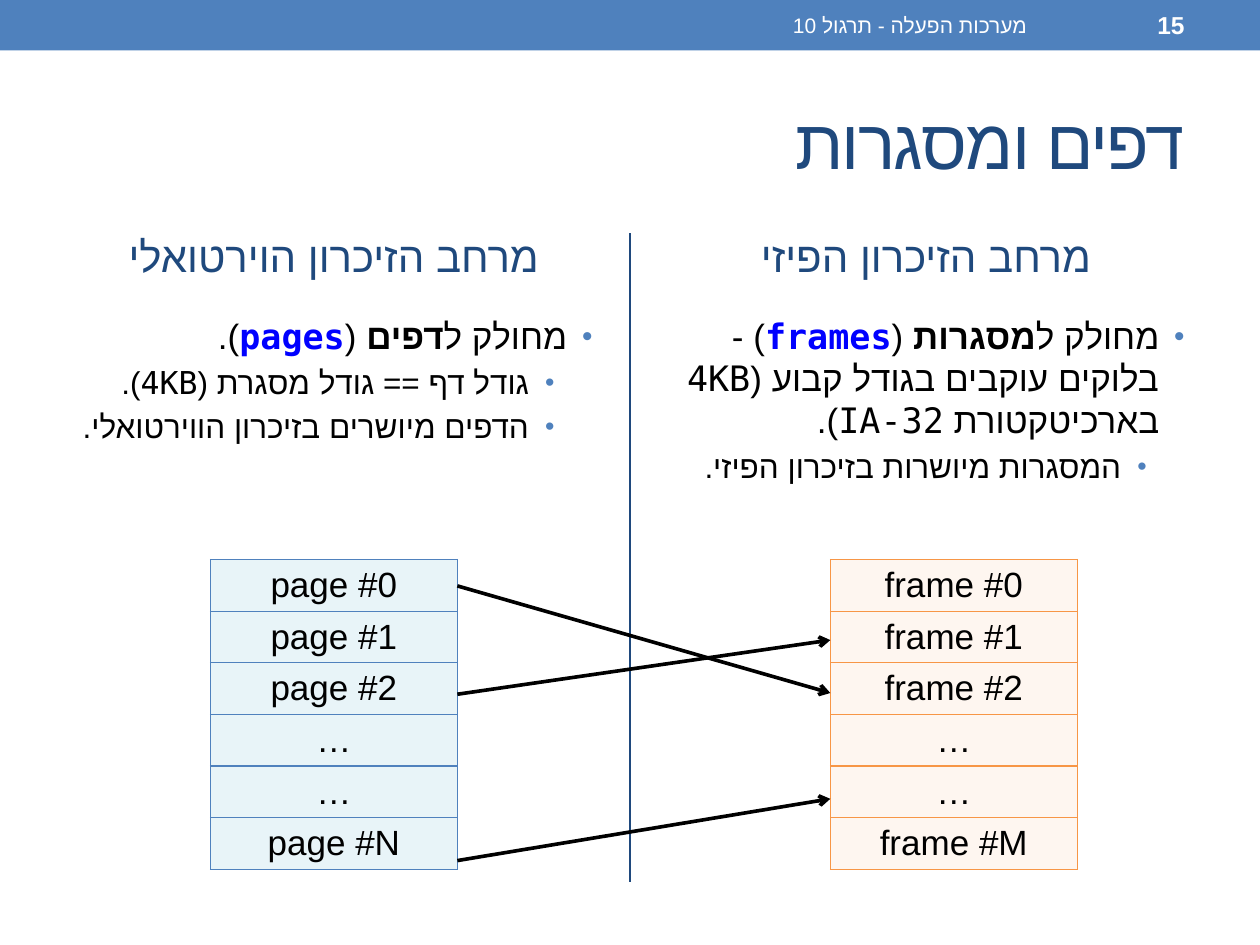
from dataclasses import dataclass

from lxml import etree
from pptx import Presentation
from pptx import util as u
from pptx.dml.color import RGBColor
from pptx.enum import shapes, text
from pptx.oxml import ns

Inches, Pt = u.Inches, u.Pt
RIGHT, CENTER = text.PP_ALIGN.RIGHT, text.PP_ALIGN.CENTER


@dataclass(frozen=True)
class Theme:
    accent: str = "4F81BD"
    heading: str = "1F497D"
    ink: str = "000000"
    term: str = "0000FF"
    white: str = "FFFFFF"
    page_fill: str = "E8F4F8"
    frame_line: str = "F79646"
    frame_fill: str = "FEF6F0"
    mono: str = "DejaVu Sans Mono"
    sans: str = "Arial"
    title_size: int = 40
    heading_size: int = 24
    body_sizes: tuple = (20, 18)
    cell_size: int = 20
    number_size: int = 14
    footer_size: int = 12


def add_xml(parent, tag, **attributes):
    return etree.SubElement(parent, ns.qn(tag), attributes)


class SlideBuilder:
    def __init__(self, slide, theme):
        self.slide = slide
        self.theme = theme

    def style_run(self, run, size, color, font, bold=False):
        run.font.size = Pt(size)
        run.font.bold = bold
        run.font.name = font
        run.font.color.rgb = RGBColor.from_string(color)

    def style_hebrew(self, run):
        add_xml(run.font._element, "a:cs", typeface=self.theme.sans)
        run.font._element.set("lang", "he-IL")

    def bar(self, left, top, width, height, color):
        shape = self.slide.shapes.add_shape(
            shapes.MSO_SHAPE.RECTANGLE,
            Inches(left), Inches(top), Inches(width), Inches(height))
        shape.shadow.inherit = False
        shape.fill.solid()
        shape.fill.fore_color.rgb = RGBColor.from_string(color)
        shape.line.fill.background()

    def text_frame(self, box, anchor):
        shape = self.slide.shapes.add_textbox(*(Inches(value) for value in box))
        shape.text_frame.word_wrap = True
        shape.text_frame.vertical_anchor = anchor
        return shape.text_frame

    def label(self, words, box, size, color, font=None, align=RIGHT,
              bold=False, spacing=None, before=0):
        frame = self.text_frame(box, text.MSO_ANCHOR.MIDDLE)
        frame.text = words
        paragraph = frame.paragraphs[0]
        paragraph.alignment = align
        paragraph.space_before = Pt(before)
        paragraph._p.get_or_add_pPr().set("rtl", "1")
        run = paragraph.runs[0]
        self.style_run(run, size, color, font or self.theme.mono, bold)
        self.style_hebrew(run)
        if spacing is not None:
            run.font._element.set("spc", str(spacing))

    def bullets(self, items, box):
        """Each item is a level and a list of (words, kind) parts."""
        frame = self.text_frame(box, text.MSO_ANCHOR.TOP)
        for index, (level, parts) in enumerate(items):
            paragraph = frame.add_paragraph() if index else frame.paragraphs[0]
            size = self.theme.body_sizes[level]
            paragraph.level = level
            paragraph.alignment = RIGHT
            paragraph.space_before = Pt(0.2 * size)
            properties = paragraph._p.get_or_add_pPr()
            properties.set("rtl", "1")
            properties.set("marL", str(Inches(0.2 + 0.3 * level)))
            properties.set("indent", str(Inches(-0.2)))
            color = add_xml(properties, "a:buClr")
            add_xml(color, "a:srgbClr", val=self.theme.accent)
            add_xml(properties, "a:buSzPct", val="85000")
            add_xml(properties, "a:buFont", typeface=self.theme.sans)
            add_xml(properties, "a:buChar", char="•")
            for words, kind in parts:
                run = paragraph.add_run()
                run.text = words
                color = self.theme.term if kind == "term" else self.theme.ink
                self.style_run(run, size, color, self.theme.mono, kind != "plain")
                self.style_hebrew(run)

    def memory_table(self, labels, left, top, width, row_height, fill, line):
        shape = self.slide.shapes.add_table(
            len(labels), 1, Inches(left), Inches(top),
            Inches(width), Inches(row_height * len(labels)))
        table = shape.table
        table.first_row = table.horz_banding = False
        for row, words in enumerate(labels):
            cell = table.cell(row, 0)
            cell.margin_bottom = Inches(0.02)
            cell.text_frame.text = words
            paragraph = cell.text_frame.paragraphs[0]
            paragraph.alignment = CENTER
            self.style_run(paragraph.runs[0], self.theme.cell_size,
                           self.theme.ink, self.theme.sans)
            properties = cell._tc.get_or_add_tcPr()
            for side in "LRTB":
                border = add_xml(properties, f"a:ln{side}", w=str(Pt(0.75)))
                solid = add_xml(border, "a:solidFill")
                add_xml(solid, "a:srgbClr", val=line)
            cell.fill.solid()
            cell.fill.fore_color.rgb = RGBColor.from_string(fill)

    def line(self, start, end, color, width, arrow=False):
        connector = self.slide.shapes.add_connector(
            shapes.MSO_CONNECTOR.STRAIGHT,
            *(Inches(value) for value in (*start, *end)))
        connector.line.color.rgb = RGBColor.from_string(color)
        connector.line.width = Pt(width)
        if arrow:
            add_xml(connector.line._get_or_add_ln(), "a:tailEnd", type="arrow")
        add_xml(connector._element.spPr, "a:effectLst")


def main():
    presentation = Presentation()
    presentation.slide_width, presentation.slide_height = Inches(10), Inches(7.5)
    theme = Theme()
    slide = presentation.slides.add_slide(presentation.slide_layouts[6])
    builder = SlideBuilder(slide, theme)

    # Header bar, divider and title
    builder.bar(0, 0, 10, 0.4, theme.accent)
    builder.line((5, 1.85), (5, 7), theme.heading, 1.5)
    builder.label("דפים ומסגרות", (0.5, 0.58, 9, 1.08), theme.title_size,
                  theme.heading, spacing=-100)

    # Two columns: virtual memory on the left, physical memory on the right
    columns = [
        (0.5, "מרחב הזיכרון הוירטואלי", theme.mono, [
            (0, [("מחולק ל", "plain"), ("דפים", "bold"), (" (", "plain"),
                 ("pages", "term"), (").", "plain")]),
            (1, [("גודל דף == גודל מסגרת (4KB).", "plain")]),
            (1, [("הדפים מיושרים בזיכרון הווירטואלי.", "plain")]),
        ]),
        (5.2, "מרחב הזיכרון הפיזי", theme.sans, [
            (0, [("מחולק ל", "plain"), ("מסגרות", "bold"), (" (", "plain"),
                 ("frames", "term"),
                 (") -בלוקים עוקבים בגודל קבוע (4KB בארכיטקטורת IA-32).", "plain")]),
            (1, [("המסגרות מיושרות בזיכרון הפיזי.", "plain")]),
        ]),
    ]
    for left, heading, font, items in columns:
        builder.label(heading, (left, 1.76, 4.3, 0.54), theme.heading_size,
                      theme.heading, font, CENTER, before=0.2 * theme.heading_size)
        builder.bullets(items, (left, 2.45, 4.3, 4.54))

    # Page and frame tables
    pages_left, frames_left, top, width, row_height = 1.67, 6.59, 4.44, 1.96, 0.41
    for left, name, last, fill, line in (
            (pages_left, "page", "N", theme.page_fill, theme.accent),
            (frames_left, "frame", "M", theme.frame_fill, theme.frame_line)):
        labels = [f"{name} #{number}" for number in range(3)]
        labels += ["…", "…", f"{name} #{last}"]
        builder.memory_table(labels, left, top, width, row_height, fill, line)

    # Mapping arrows from pages to frames
    for page_y, frame_y in ((4.65, 5.5), (5.51, 5.08), (6.83, 6.34)):
        builder.line((pages_left + width, page_y), (frames_left, frame_y),
                     theme.ink, 2.08, arrow=True)

    # Slide number and footer
    builder.label("15", (8.33, 0.02, 1.17, 0.36), theme.number_size,
                  theme.white, bold=True)
    builder.label("מערכות הפעלה - תרגול 10", (3.75, 0.02, 4.5, 0.36),
                  theme.footer_size, theme.white)

    presentation.save("out.pptx")


if __name__ == "__main__":
    main()
